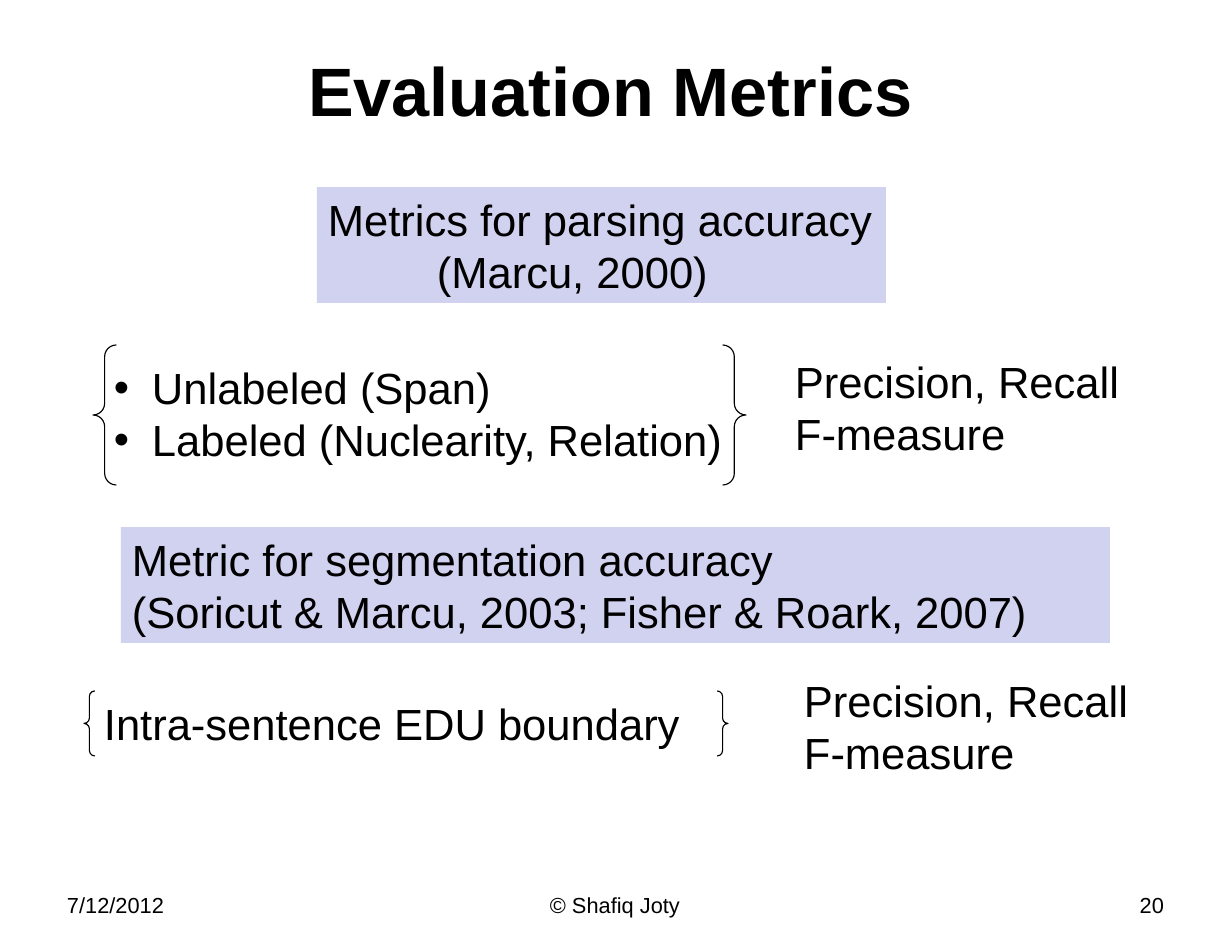
from dataclasses import dataclass

from lxml import etree
from pptx import Presentation
from pptx.dml.color import RGBColor
from pptx.enum.shapes import MSO_SHAPE
from pptx.enum.text import MSO_ANCHOR, MSO_AUTO_SIZE, PP_ALIGN
from pptx.oxml.ns import qn
from pptx.util import Emu, Pt

RECTANGLE = MSO_SHAPE.RECTANGLE
BRACES = MSO_SHAPE.DOUBLE_BRACE
LEFT, CENTER, RIGHT = PP_ALIGN.LEFT, PP_ALIGN.CENTER, PP_ALIGN.RIGHT
TOP, MIDDLE = MSO_ANCHOR.TOP, MSO_ANCHOR.MIDDLE
NO_AUTOFIT = MSO_AUTO_SIZE.NONE
PIXELS_PER_INCH = 112
INSET_X, INSET_Y = 11, 6
TWO_LINES = 116
MEASURES = ("Precision, Recall", "F-measure")


@dataclass(frozen=True)
class Theme:
    font: str = "Arial"
    ink: RGBColor = RGBColor(0, 0, 0)
    panel: RGBColor = RGBColor(0xD1, 0xD1, 0xF0)
    title_size: int = 44
    body_size: int = 28
    footer_size: int = 14
    brace_width: float = 0.75


THEME = Theme()


def px(value):
    return Emu(round(value * 914400 / PIXELS_PER_INCH))


def write(shape, lines, size=THEME.body_size, bold=False, align=LEFT,
          anchor=TOP, bullet=None, indents=None):
    frame = shape.text_frame
    frame.auto_size = NO_AUTOFIT
    frame.word_wrap = True
    frame.vertical_anchor = anchor
    frame.margin_left = frame.margin_right = px(INSET_X)
    frame.margin_top = frame.margin_bottom = px(INSET_Y)
    for index, line in enumerate(lines):
        para = frame.paragraphs[0] if index == 0 else frame.add_paragraph()
        para.alignment = align
        properties = para._p.get_or_add_pPr()
        indent = indents[index] if indents else 0
        if indent:
            properties.set("marL", str(px(indent)))
            properties.set("indent", str(px(-indent) if bullet else 0))
        if bullet:
            etree.SubElement(properties, qn("a:buFont"), typeface=THEME.font)
            etree.SubElement(properties, qn("a:buChar"), char=bullet)
        span = para.add_run()
        span.text = line
        span.font.name = THEME.font
        span.font.size = Pt(size)
        span.font.bold = bold
        span.font.color.rgb = THEME.ink


def add_text(page, box, lines, **style):
    shape = page.shapes.add_textbox(*map(px, box))
    write(shape, lines, **style)


def add_title(page, box, text):
    title = page.shapes.title
    title.left, title.top, title.width, title.height = map(px, box)
    write(title, [text], size=THEME.title_size, bold=True, align=CENTER, anchor=MIDDLE)


def add_heading(page, box, lines, **style):
    panel = page.shapes.add_shape(RECTANGLE, *map(px, box))
    panel.shadow.inherit = False
    panel.fill.solid()
    panel.fill.fore_color.rgb = THEME.panel
    panel.line.fill.background()
    write(panel, lines, **style)


def add_metric(page, box, lines, text_offset, measures_offset, **style):
    left, top, width, height = box
    braces = page.shapes.add_shape(BRACES, *map(px, box))
    braces.shadow.inherit = False
    braces.fill.background()
    braces.line.color.rgb = THEME.ink
    braces.line.width = Pt(THEME.brace_width)
    offset_x, offset_y = text_offset
    add_text(page, (left + offset_x, top + offset_y, width, height), lines, **style)
    offset_x, offset_y = measures_offset
    add_text(page, (left + offset_x, top + offset_y, 373, TWO_LINES), MEASURES)


def add_footer(page, box, date, owner, number):
    left, top, width, height = box
    side, middle = 288, 390
    cells = (
        (0, side, date, LEFT),
        (364, middle, owner, CENTER),
        (width - side, side, number, RIGHT),
    )
    for offset, cell_width, text, align in cells:
        add_text(page, (left + offset, top, cell_width, height), [text],
                 size=THEME.footer_size, align=align)


def main():
    deck = Presentation()
    deck.slide_width, deck.slide_height = px(1232), px(952)
    page = deck.slides.add_slide(deck.slide_layouts[5])
    add_title(page, (37, 19, 1148, 140), "Evaluation Metrics")
    add_heading(page, (317, 187, 569, TWO_LINES),
                ["Metrics for parsing accuracy", "(Marcu, 2000)"], indents=(0, 109))
    add_metric(page, (93, 345, 653, 140),
               ["Unlabeled (Span)", "Labeled (Nuclearity, Relation)"],
               (10, 10), (691, 4), bullet="•", indents=(38, 38))
    add_heading(page, (121, 527, 989, TWO_LINES),
                ["Metric for segmentation accuracy",
                 "(Soricut & Marcu, 2003; Fisher & Roark, 2007)"])
    add_metric(page, (84, 691, 644, 65), ["Intra-sentence EDU boundary"],
               (9, 0), (709, -23))
    add_footer(page, (56, 886, 1119, 66), "7/12/2012", "© Shafiq Joty", "20")
    deck.save("out.pptx")


if __name__ == "__main__":
    main()
